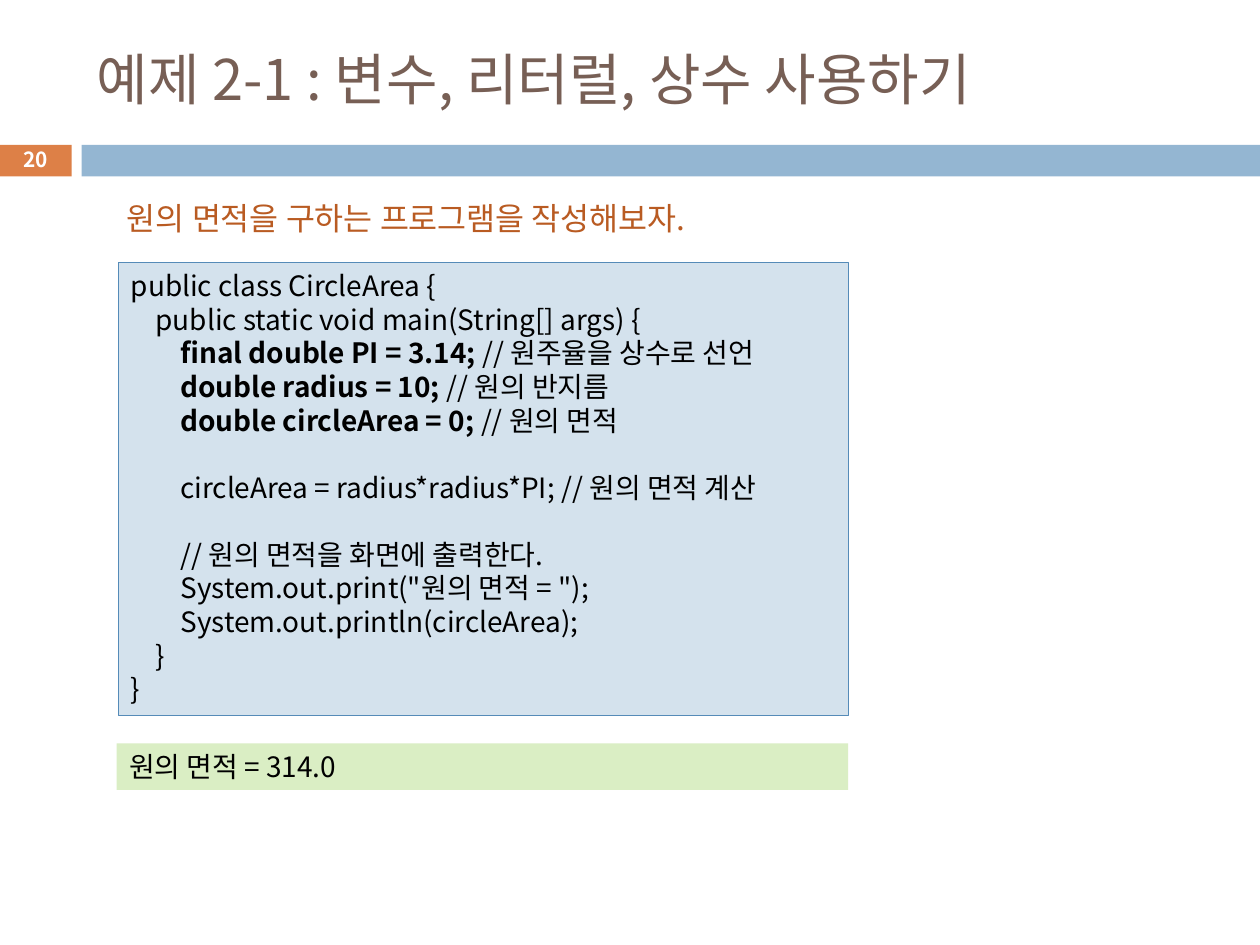
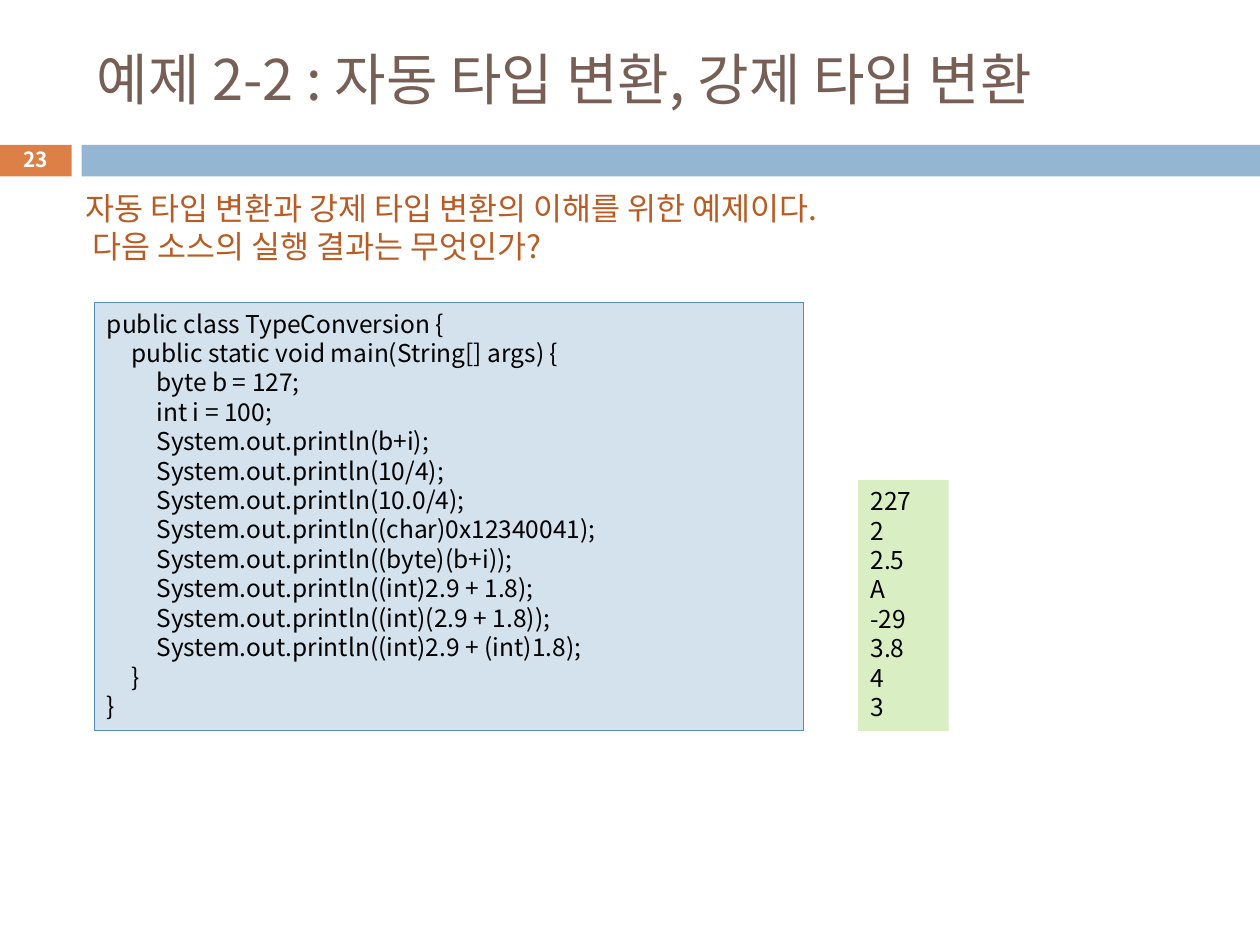
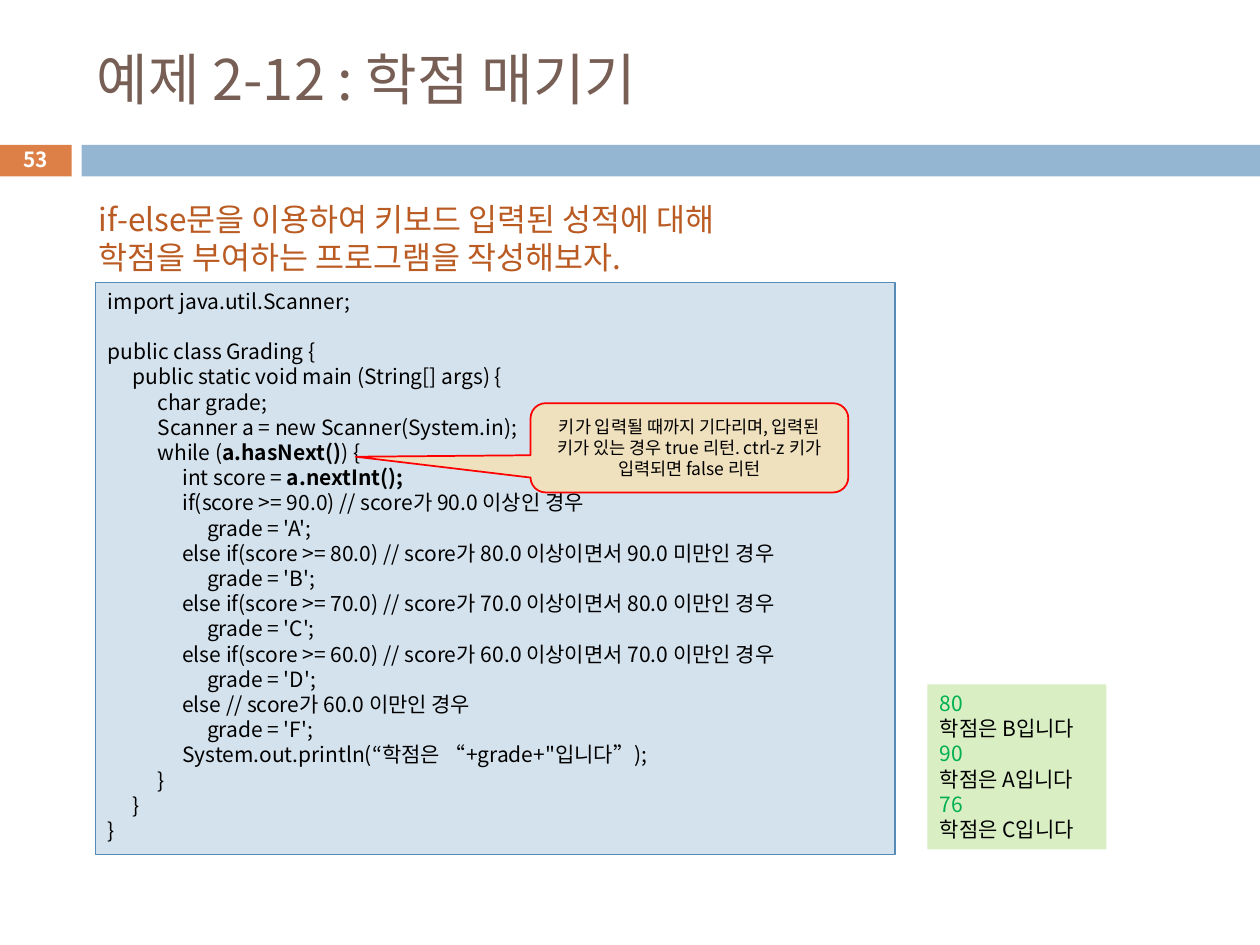
from lxml import etree
from pptx import Presentation
from pptx import util as u
from pptx.dml import color as dml
from pptx.enum import shapes, text
from pptx.oxml import ns

FONT = "Noto Sans CJK KR"
TITLE, PROMPT, BLACK, WHITE = "775F55", "B95B22", "000000", "FFFFFF"
BADGE, BAND = "DD8047", "94B6D2"
CODE_FILL, CODE_LINE, OUTPUT_FILL, INPUT = "D4E2ED", "558BB8", "DAEEC4", "00B050"
CALLOUT_FILL, CALLOUT_LINE = "EFE0BE", "FF0000"
TAB = 14.17  # width of one indent level in code

RECTANGLE = shapes.MSO_SHAPE.RECTANGLE
TOP, MIDDLE = text.MSO_ANCHOR.TOP, text.MSO_ANCHOR.MIDDLE
LEFT, CENTER = text.PP_ALIGN.LEFT, text.PP_ALIGN.CENTER


def rgb(value):
    return dml.RGBColor.from_string(value)


def add_box(slide, place, content="", size=12, color=BLACK, fill=None, line=None,
            line_width=0.75, preset=RECTANGLE, anchor=TOP, align=LEFT, bold=False):
    """Four leading spaces make one tab, ** switches bold, an empty line is a gap."""
    place = [u.Pt(value) for value in place]
    if fill:
        shape = slide.shapes.add_shape(preset, *place)
        shape.shadow.inherit = False
        shape.fill.solid()
        shape.fill.fore_color.rgb = rgb(fill)
        if line:
            shape.line.color.rgb = rgb(line)
            shape.line.width = u.Pt(line_width)
        else:
            shape.line.fill.background()
    else:
        shape = slide.shapes.add_textbox(*place)
    if not content:
        return shape

    frame = shape.text_frame
    frame.word_wrap = True
    frame.vertical_anchor = anchor
    paragraph, gap = None, 0
    for row in content.strip("\n").split("\n"):
        if not row:
            gap += size * 1.2
            continue
        paragraph = frame.add_paragraph() if paragraph else frame.paragraphs[0]
        paragraph.alignment = align
        paragraph.line_spacing = u.Pt(size * 1.2)
        if gap:
            paragraph.space_before = u.Pt(gap)
            gap = 0
        level = (len(row) - len(row.lstrip())) // 4
        properties = paragraph._p.get_or_add_pPr()
        if level:
            stops = etree.SubElement(properties, ns.qn("a:tabLst"))
            for step in range(1, level + 1):
                etree.SubElement(stops, ns.qn("a:tab"), pos=str(u.Pt(TAB * step)), algn="l")
        paragraph.font.size = u.Pt(size)
        paragraph.font.bold = bold
        paragraph.font.color.rgb = rgb(color)
        paragraph.font.name = FONT
        etree.SubElement(properties.find(ns.qn("a:defRPr")), ns.qn("a:ea"), typeface=FONT)
        row = "\t" * level + row[level * 4:]
        for index, piece in enumerate(row.split("**")):
            if piece:
                run = paragraph.add_run()
                run.text = piece
                if index % 2:
                    run.font.bold = True
    return shape


CIRCLE_CODE = """
public class CircleArea {
    public static void main(String[] args) {
        **final double PI = 3.14; **// 원주율을 상수로 선언
        **double radius = 10; **// 원의 반지름
        **double circleArea = 0; **// 원의 면적

        circleArea = radius*radius*PI; // 원의 면적 계산

        // 원의 면적을 화면에 출력한다.
        System.out.print("원의 면적 = ");
        System.out.println(circleArea);
    }
}
"""

CONVERSION_CODE = """
public class TypeConversion {
    public static void main(String[] args) {
        byte b = 127;
        int i = 100;
        System.out.println(b+i);
        System.out.println(10/4);
        System.out.println(10.0/4);
        System.out.println((char)0x12340041);
        System.out.println((byte)(b+i));
        System.out.println((int)2.9 + 1.8);
        System.out.println((int)(2.9 + 1.8));
        System.out.println((int)2.9 + (int)1.8);
    }
}
"""

GRADING_CODE = """
import java.util.Scanner;

public class Grading {
    public static void main (String[] args) {
        char grade;
        Scanner a = new Scanner(System.in);
        while (**a.hasNext()**) {
            int score = **a.nextInt();**
            if(score >= 90.0) // score가 90.0 이상인 경우
                grade = 'A';
            else if(score >= 80.0) // score가 80.0 이상이면서 90.0 미만인 경우
                grade = 'B';
            else if(score >= 70.0) // score가 70.0 이상이면서 80.0 이만인 경우
                grade = 'C';
            else if(score >= 60.0) // score가 60.0 이상이면서 70.0 이만인 경우
                grade = 'D';
            else // score가 60.0 이만인 경우
                grade = 'F';
            System.out.println(“학점은 “+grade+"입니다”);
        }
    }
}
"""

# Each example: number, title, then prompt, code and output with their places
examples = [
    {"number": "20", "title": "예제 2-1 : 변수, 리터럴, 상수 사용하기", "size": 16,
     "prompt": "원의 면적을 구하는 프로그램을 작성해보자.",
     "prompt_place": (65.5, 110.2, 371, 29),
     "code": CIRCLE_CODE, "code_place": (67.7, 150, 417, 259),
     "output": "원의 면적 = 314.0", "output_place": (66.7, 424.8, 418, 26.6)},
    {"number": "23", "title": "예제 2-2 : 자동 타입 변환, 강제 타입 변환", "size": 14,
     "prompt": "자동 타입 변환과 강제 타입 변환의 이해를 위한 예제이다.\n"
               " 다음 소스의 실행 결과는 무엇인가?",
     "prompt_place": (41.5, 104.4, 486, 51),
     "code": CONVERSION_CODE, "code_place": (54, 172.8, 405, 244.8),
     "output": "227\n2\n2.5\nA\n-29\n3.8\n4\n3", "output_place": (490.3, 274.3, 51.8, 143.3)},
    {"number": "53", "title": "예제 2-12 : 학점 매기기", "size": 12,
     "prompt": "if-else문을 이용하여 키보드 입력된 성적에 대해\n"
               "학점을 부여하는 프로그램을 작성해보자.",
     "prompt_place": (49.5, 110.9, 407, 51),
     "code": GRADING_CODE, "code_place": (54.6, 161.3, 456.8, 327),
     "output": "80\n학점은 B입니다\n90\n학점은 A입니다\n76\n학점은 C입니다",
     "output_place": (530, 391, 102.2, 94.3)},
]

presentation = Presentation()
presentation.slide_width, presentation.slide_height = u.Pt(720), u.Pt(540)

for example in examples:
    slide = presentation.slides.add_slide(presentation.slide_layouts[6])
    size = example["size"]

    # Band, title and slide number
    add_box(slide, (0, 82.8, 41, 18), fill=BADGE)
    add_box(slide, (46.6, 82.8, 673.4, 18), fill=BAND)
    add_box(slide, (48.2, 18, 642.2, 53.3), example["title"], 32, TITLE, anchor=MIDDLE)
    add_box(slide, (0, 81.4, 41, 19.4), example["number"], 11.9, WHITE,
            anchor=MIDDLE, align=CENTER, bold=True)

    # Prompt, code and program output
    add_box(slide, example["code_place"], example["code"], size, fill=CODE_FILL, line=CODE_LINE)
    add_box(slide, example["prompt_place"], example["prompt"], 18, PROMPT)
    output = add_box(slide, example["output_place"], example["output"], size, fill=OUTPUT_FILL)

# Typed input on the grading slide is green
for paragraph in output.text_frame.paragraphs[::2]:
    paragraph.font.color.rgb = rgb(INPUT)

# Callout pointing at the loop condition
callout = add_box(slide, (303.2, 230.4, 181.6, 51),
                  "키가 입력될 때까지 기다리며, 입력된 키가 있는 경우 true 리턴. "
                  "ctrl-z 키가 입력되면 false 리턴",
                  10, fill=CALLOUT_FILL, line=CALLOUT_LINE, line_width=1,
                  preset=shapes.MSO_SHAPE.ROUNDED_RECTANGULAR_CALLOUT,
                  anchor=MIDDLE, align=CENTER)
for index, value in enumerate((-1.05, 0.1, 0.17)):
    callout.adjustments[index] = value

presentation.save("out.pptx")
